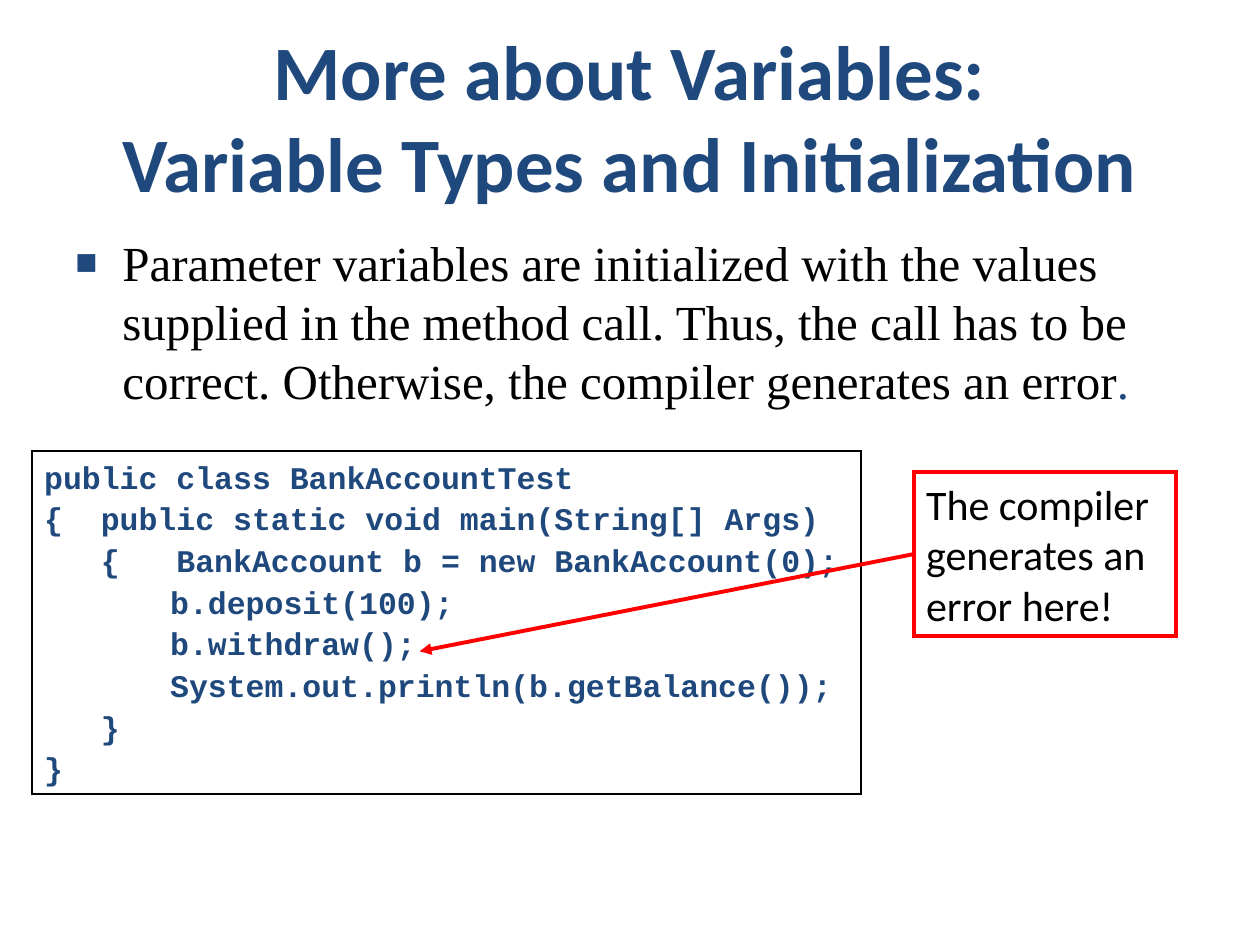
"""Build a slide on how parameter variables are initialized."""
from lxml.etree import SubElement
from pptx import Presentation
from pptx.dml.color import RGBColor
from pptx.enum.shapes import MSO_CONNECTOR, MSO_SHAPE
from pptx.enum.text import MSO_ANCHOR, PP_ALIGN
from pptx.oxml.ns import qn
from pptx.util import Cm, Pt

NAVY, BLACK, RED = "1F497D", "000000", "FF0000"


def color(value):
    return RGBColor.from_string(value)


def write(box, lines, font, ink, paragraph, anchor=MSO_ANCHOR.TOP):
    frame = box.text_frame
    frame.word_wrap = True
    frame.vertical_anchor = anchor
    for index, line in enumerate(lines):
        para = frame.paragraphs[0] if index == 0 else frame.add_paragraph()
        for name, value in paragraph.items():
            setattr(para, name, value)
        para.text = line
        for span in para.runs:
            for name, value in font.items():
                setattr(span.font, name, value)
            span.font.color.rgb = color(ink)
    return frame.paragraphs


deck = Presentation()
deck.slide_width, deck.slide_height = Cm(25.4), Cm(19.05)
page = deck.slides.add_slide(deck.slide_layouts[6])

title = page.shapes.add_textbox(Cm(1.9), Cm(0.64), Cm(21.6), Cm(3.38))
write(title, ["More about Variables:\vVariable Types and Initialization"],
      {"name": "Calibri", "size": Pt(44), "bold": True}, NAVY,
      {"alignment": PP_ALIGN.CENTER}, MSO_ANCHOR.MIDDLE)

body = page.shapes.add_textbox(Cm(1.27), Cm(4.57), Cm(23.5), Cm(12.37))
body_font = {"name": "Times New Roman", "size": Pt(28)}
para = write(body, ["Parameter variables are initialized with the values supplied in the method call. "
                    "Thus, the call has to be correct. Otherwise, the compiler generates an error"],
             body_font, BLACK, {"space_before": Pt(7)})[0]
stop = para.add_run()
stop.text = "."
for name, value in body_font.items():
    setattr(stop.font, name, value)
stop.font.color.rgb = color(NAVY)
settings = para._p.get_or_add_pPr()
settings.set("marL", str(Cm(0.95)))
settings.set("indent", str(-Cm(0.95)))
SubElement(SubElement(settings, qn("a:buClr")), qn("a:srgbClr"), val=NAVY)
SubElement(settings, qn("a:buSzPct"), val="75000")
SubElement(settings, qn("a:buFont"), typeface="Times New Roman")
SubElement(settings, qn("a:buChar"), char="■")

panels = []
for place, outline, width in [
    ((0.64, 9.1, 16.72, 6.91), BLACK, 1),
    ((18.42, 9.52, 5.28, 3.3), RED, 2.25),
]:
    panel = page.shapes.add_shape(MSO_SHAPE.RECTANGLE, *map(Cm, place))
    panel.shadow.inherit = False
    panel.fill.background()
    panel.line.color.rgb = color(outline)
    panel.line.width = Pt(width)
    SubElement(panel.line._get_or_add_ln(), qn("a:miter"), lim="800000")
    panels.append(panel)
code_panel, callout = panels

code = [
    "public class BankAccountTest",
    "{  public static void main(String[] Args)",
    "   {   BankAccount b = new BankAccount(0);",
    "b.deposit(100);",
    "b.withdraw();",
    "System.out.println(b.getBalance());",
    "   }",
    "}",
]
statements = write(code_panel, code, {"name": "Courier New", "size": Pt(18), "bold": True}, NAVY,
                   {"alignment": PP_ALIGN.LEFT, "space_before": Pt(2.2)})[3:6]
for para in statements:
    para._p.get_or_add_pPr().set("marL", str(Cm(2.54)))

write(callout, ["The compiler generates an error here!"],
      {"name": "Calibri", "size": Pt(24)}, BLACK, {"alignment": PP_ALIGN.LEFT})

arrow = page.shapes.add_connector(MSO_CONNECTOR.STRAIGHT, Cm(18.42), Cm(11.17), Cm(8.46), Cm(13.13))
arrow.begin_connect(callout, 1)
arrow.line.color.rgb = color(RED)
arrow.line.width = Pt(2.25)
SubElement(arrow.line._get_or_add_ln(), qn("a:tailEnd"), type="triangle")
SubElement(arrow._element.spPr, qn("a:effectLst"))

deck.save("out.pptx")
